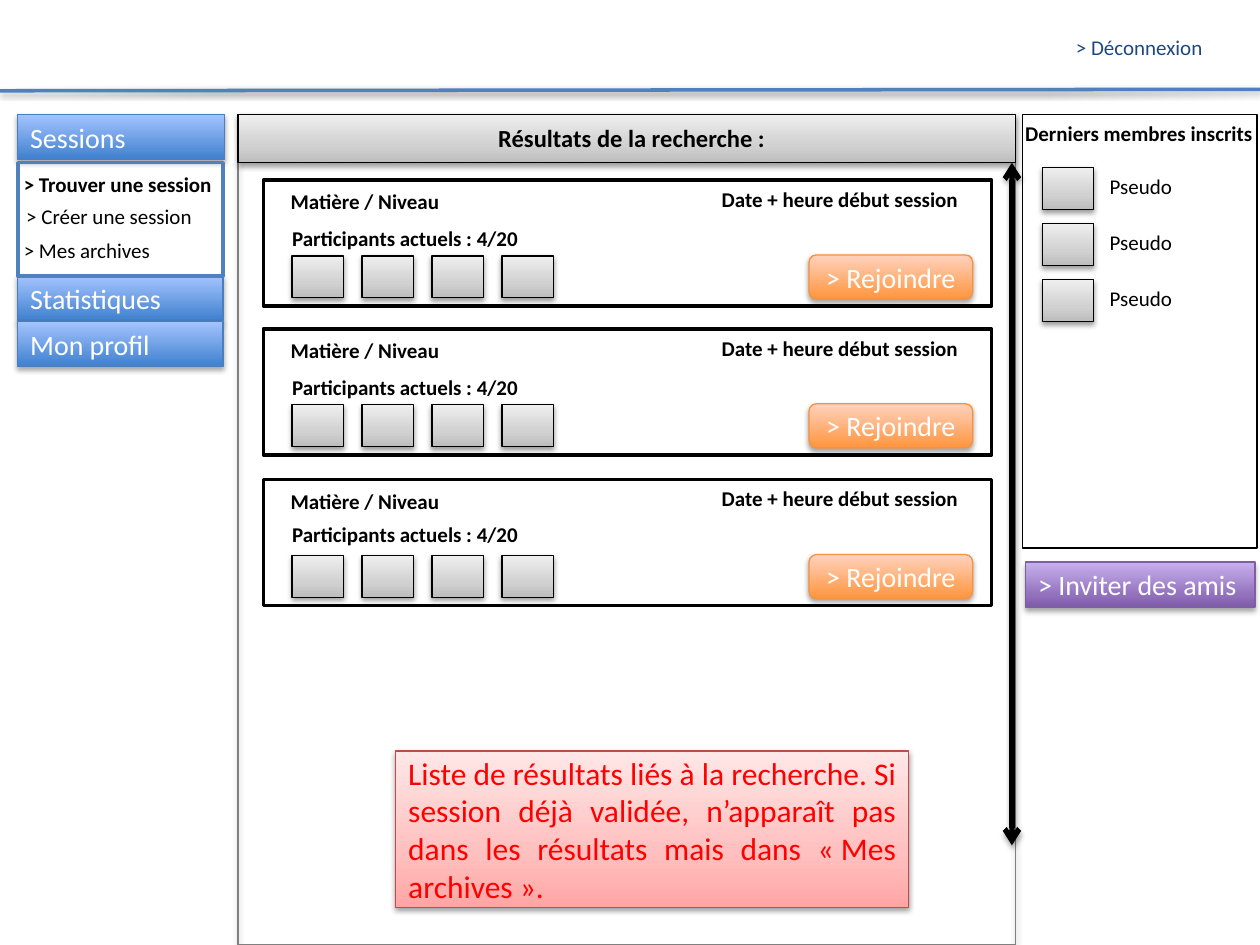
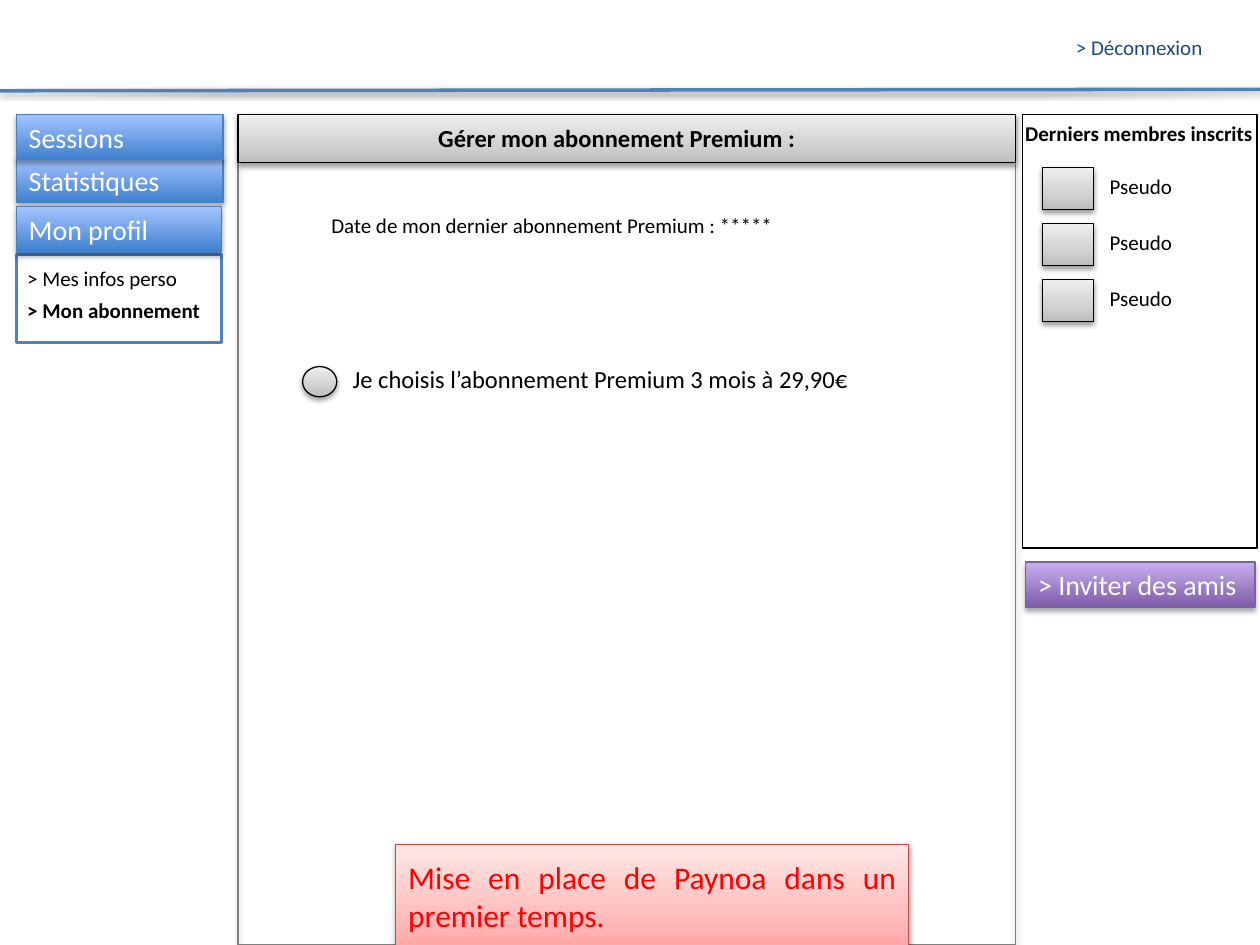
from dataclasses import dataclass, field
from typing import Optional

from lxml.etree import SubElement
from pptx import Presentation
from pptx.dml.color import RGBColor
from pptx.enum.shapes import MSO_CONNECTOR, MSO_SHAPE
from pptx.enum.text import MSO_ANCHOR, MSO_AUTO_SIZE, PP_ALIGN
from pptx.oxml.ns import qn
from pptx.util import Cm, Pt


@dataclass(frozen=True)
class Shadow:
    """A soft shadow cast downwards; distance and blur in points."""
    opacity: int
    distance: float
    blur: float = 3.1


@dataclass(frozen=True)
class Look:
    """Fill stops (position, colour), outline and shadow of a shape."""
    stops: tuple = ()
    line: str = "000000"
    line_width: float = 0.75
    shadow: Optional[Shadow] = None


@dataclass(frozen=True)
class TextStyle:
    """Character and paragraph formatting."""
    size: int
    color: str = "000000"
    bold: bool = False
    align: PP_ALIGN = PP_ALIGN.LEFT


@dataclass(frozen=True)
class Box:
    """A rectangle in centimetres."""
    left: float
    top: float
    width: float
    height: float


LIGHT = Shadow(38, 1.6)
DEEP = Shadow(35, 1.8)


@dataclass(frozen=True)
class Theme:
    """Colours, outlines and type sizes shared by both slides."""
    font: str = "Calibri"
    rule: str = "4F81BD"
    scroll: str = "000000"
    panel: Look = Look((), "808080", shadow=DEEP)
    submenu: Look = Look((), "4F81BD", 2)
    card: Look = Look(((0, "FFFFFF"),), line_width=2)
    sidebar: Look = Look(((0, "FFFFFF"),))
    grey: Look = Look(((0, "BDBDBD"), (35, "D1D1D1"), (100, "EEEEEE")), shadow=LIGHT)
    note: Look = Look(((0, "FFA6A5"), (35, "FFC0BF"), (100, "FFE7E7")), "BF4C48", shadow=LIGHT)
    blue: Look = Look(((0, "3F80CE"), (100, "A4C4FF")), "4B7EBC", shadow=DEEP)
    orange: Look = Look(((0, "FF953E"), (100, "FFD2BD")), "F69240", shadow=DEEP)
    purple: Look = Look(((0, "7F5BAB"), (100, "C8B0ED")), "7D60A0", shadow=DEEP)
    body: TextStyle = TextStyle(12)
    strong: TextStyle = TextStyle(12, bold=True)
    strong_centred: TextStyle = TextStyle(12, bold=True, align=PP_ALIGN.CENTER)
    logout: TextStyle = TextStyle(12, "1F497D")
    option: TextStyle = TextStyle(14)
    heading: TextStyle = TextStyle(14, bold=True, align=PP_ALIGN.CENTER)
    tab: TextStyle = TextStyle(16, "FFFFFF")
    button: TextStyle = TextStyle(16, "FFFFFF", align=PP_ALIGN.CENTER)
    remark: TextStyle = TextStyle(18, "FF0000", align=PP_ALIGN.JUSTIFY)


THEME = Theme()
LINE_HEIGHT = 0.76
TAB_HEIGHT = 0.91
AVATAR_WIDTH, AVATAR_HEIGHT = 1.04, 0.84


@dataclass(frozen=True)
class Label:
    """A line of text with its place."""
    text: str
    left: float
    top: float
    width: float
    style: TextStyle = field(default=THEME.body)
    height: float = LINE_HEIGHT


@dataclass(frozen=True)
class Tab:
    """A main menu entry."""
    text: str
    top: float
    width: float = 4.14


@dataclass(frozen=True)
class Card:
    """A search result: its top and the offset of its participants line."""
    top: float
    participants_offset: float


def write(frame, text: str, style: TextStyle) -> None:
    """Fill a text frame with one formatted run."""
    frame.word_wrap = True
    paragraph = frame.paragraphs[0]
    paragraph.alignment = style.align
    run = paragraph.add_run()
    run.text = text
    run.font.name = THEME.font
    run.font.size = Pt(style.size)
    run.font.bold = style.bold
    run.font.color.rgb = RGBColor.from_string(style.color)


def add_color(parent, value: str):
    """Append a colour element and return it."""
    return SubElement(parent, qn("a:srgbClr"), val=value)


def cast_shadow(effects, shadow: Shadow) -> None:
    """Put an outer shadow into an effect list."""
    outer = SubElement(effects, qn("a:outerShdw"), blurRad=str(Pt(shadow.blur)),
                       dist=str(Pt(shadow.distance)), dir="5400000", rotWithShape="0")
    SubElement(add_color(outer, "000000"), qn("a:alpha"), val=str(shadow.opacity * 1000))


def paint(shape, look: Look) -> None:
    """Apply fill, outline and shadow to a shape."""
    if not look.stops:
        shape.fill.background()
    elif len(look.stops) == 1:
        shape.fill.solid()
        shape.fill.fore_color.rgb = RGBColor.from_string(look.stops[0][1])
    else:
        shape.fill.gradient()
        shape.fill.gradient_angle = 90
        stop_list = shape.element.spPr.find(".//" + qn("a:gsLst"))
        for stop in list(stop_list):
            stop_list.remove(stop)
        for position, color in look.stops:
            add_color(SubElement(stop_list, qn("a:gs"), pos=str(position * 1000)), color)
    shape.line.color.rgb = RGBColor.from_string(look.line)
    shape.line.width = Pt(look.line_width)
    shape.shadow.inherit = False
    if look.shadow:
        cast_shadow(shape.element.spPr.find(qn("a:effectLst")), look.shadow)


def add_box(slide, box: Box, look: Look, text: str = "", style: TextStyle = THEME.body,
            kind: MSO_SHAPE = MSO_SHAPE.RECTANGLE) -> None:
    """Draw a preset shape, with text if there is any."""
    shape = slide.shapes.add_shape(kind, Cm(box.left), Cm(box.top),
                                   Cm(box.width), Cm(box.height))
    paint(shape, look)
    if text:
        shape.text_frame.vertical_anchor = MSO_ANCHOR.MIDDLE
        write(shape.text_frame, text, style)


def add_label(slide, label: Label) -> None:
    """Draw a text box."""
    text_box = slide.shapes.add_textbox(Cm(label.left), Cm(label.top),
                                        Cm(label.width), Cm(label.height))
    write(text_box.text_frame, label.text, label.style)
    text_box.text_frame.auto_size = MSO_AUTO_SIZE.SHAPE_TO_FIT_TEXT


def add_line(slide, start: tuple[float, float], end: tuple[float, float], color: str,
             width: float, shadow: Shadow, arrows: bool = False) -> None:
    """Draw a straight line, with arrowheads at both ends on demand."""
    line = slide.shapes.add_connector(MSO_CONNECTOR.STRAIGHT, Cm(start[0]), Cm(start[1]),
                                      Cm(end[0]), Cm(end[1]))
    line.line.color.rgb = RGBColor.from_string(color)
    line.line.width = Pt(width)
    properties = line.element.spPr
    if arrows:
        for end_name in ("a:headEnd", "a:tailEnd"):
            SubElement(properties.find(qn("a:ln")), qn(end_name), type="arrow")
    cast_shadow(SubElement(properties, qn("a:effectLst")), shadow)


def add_avatar(slide, left: float, top: float) -> None:
    """Draw a grey member tile."""
    add_box(slide, Box(left, top, AVATAR_WIDTH, AVATAR_HEIGHT), THEME.grey)


def add_note(slide, top: float, height: float, text: str) -> None:
    """Draw the red remark over the main panel."""
    add_box(slide, Box(7.98, top, 10.34, height), THEME.note, text, THEME.remark)


def add_tabs(slide, left: float, tabs: list[Tab]) -> None:
    """Draw the blue menu entries."""
    for tab in tabs:
        add_box(slide, Box(left, tab.top, tab.width, TAB_HEIGHT), THEME.blue,
                tab.text, THEME.tab)


def add_submenu(slide, box: Box, labels: list[Label]) -> None:
    """Draw the open submenu and its entries."""
    add_box(slide, box, THEME.submenu)
    for label in labels:
        add_label(slide, label)


def add_members(slide) -> None:
    """Draw the list of latest members and the invitation button."""
    add_box(slide, Box(20.62, 2.31, 4.72, 8.74), THEME.sidebar)
    add_label(slide, Label("Derniers membres inscrits", 20.24, 2.31, 5.44,
                           THEME.strong_centred))
    for index in range(3):
        top = 3.38 + 1.13 * index
        add_avatar(slide, 21.01, top)
        add_label(slide, Label("Pseudo", 22.12, top, 2.49))
    add_box(slide, Box(20.68, 11.33, 4.62, TAB_HEIGHT), THEME.purple,
            "> Inviter des amis", THEME.tab)


def add_page(presentation, title: str, title_left: float, title_width: float):
    """Add a slide with everything that both pages share."""
    slide = presentation.slides.add_slide(presentation.slide_layouts[6])
    add_line(slide, (0, 1.83), (25.4, 1.8), THEME.rule, 2, LIGHT)
    add_box(slide, Box(4.8, 2.31, 15.67, 16.74), THEME.panel)
    add_label(slide, Label("> Déconnexion", 21.44, 0.58, 3.4, THEME.logout))
    add_members(slide)
    add_box(slide, Box(4.8, 2.31, 15.67, 0.97), THEME.grey)
    add_label(slide, Label(title, title_left, 2.36, title_width, THEME.heading, 0.86))
    return slide


def add_card(slide, card: Card) -> None:
    """Draw one search result."""
    add_box(slide, Box(5.31, card.top, 14.68, 2.54), THEME.card)
    add_label(slide, Label("Matière / Niveau", 5.61, card.top + 0.05, 3.63, THEME.strong))
    add_label(slide, Label("Date + heure début session", 14.3, card.top, 5.66, THEME.strong))
    add_label(slide, Label("Participants actuels : 4/20", 5.64,
                           card.top + card.participants_offset, 5.49, THEME.strong))
    for index in range(4):
        add_avatar(slide, 5.89 + 1.41 * index, card.top + 1.53)
    add_box(slide, Box(16.31, card.top + 1.51, 3.3, 0.89), THEME.orange,
            "> Rejoindre", THEME.button, MSO_SHAPE.ROUNDED_RECTANGLE)


def build_results(presentation) -> None:
    """Build the search results page."""
    slide = add_page(presentation, "Résultats de la recherche :", 9.27, 6.93)
    add_note(slide, 15.14, 3.15,
             "Liste de résultats liés à la recherche. Si session déjà validée, n’apparaît "
             "pas dans les résultats mais dans «\u00a0Mes archives\u00a0».")
    for card in (Card(3.63, 0.79), Card(6.63, 0.79), Card(9.67, 0.71)):
        add_card(slide, card)
    add_tabs(slide, 0.36, [Tab("Sessions", 2.31, 4.17), Tab("Statistiques", 5.56),
                           Tab("Mon profil", 6.48)])
    add_submenu(slide, Box(0.36, 3.28, 4.14, 2.29), [
        Label("> Trouver une session", 0.23, 3.33, 4.72, THEME.strong),
        Label("> Créer une session", 0.28, 3.97, 4.72),
        Label("> Mes archives", 0.23, 4.67, 4.72)])
    add_line(slide, (20.4, 3.28), (20.4, 17.04), THEME.scroll, 3, DEEP, arrows=True)


def build_subscription(presentation) -> None:
    """Build the subscription page."""
    slide = add_page(presentation, "Gérer mon abonnement Premium :", 5.49, 13.89)
    add_submenu(slide, Box(0.33, 5.13, 4.14, 1.78), [
        Label("> Mes infos perso", 0.3, 5.23, 4.72),
        Label("> Mon abonnement", 0.3, 5.87, 4.72, THEME.strong)])
    add_tabs(slide, 0.33, [Tab("Statistiques", 3.18, 4.17), Tab("Mon profil", 4.17),
                           Tab("Sessions", 2.31, 4.17)])
    add_label(slide, Label("Date de mon dernier abonnement Premium : *****",
                           6.43, 4.17, 10.59))
    add_box(slide, Box(6.1, 7.39, 0.69, 0.61), THEME.grey, kind=MSO_SHAPE.OVAL)
    add_label(slide, Label("Je choisis l’abonnement Premium 3 mois à 29,90€",
                           6.86, 7.21, 10.69, THEME.option, 0.86))
    add_note(slide, 17.02, 2.08, "Mise en place de Paynoa dans un premier temps.")


def main() -> None:
    """Create the presentation and save it."""
    presentation = Presentation()
    presentation.slide_width, presentation.slide_height = Cm(25.4), Cm(19.05)
    build_results(presentation)
    build_subscription(presentation)
    presentation.save("out.pptx")


main()
